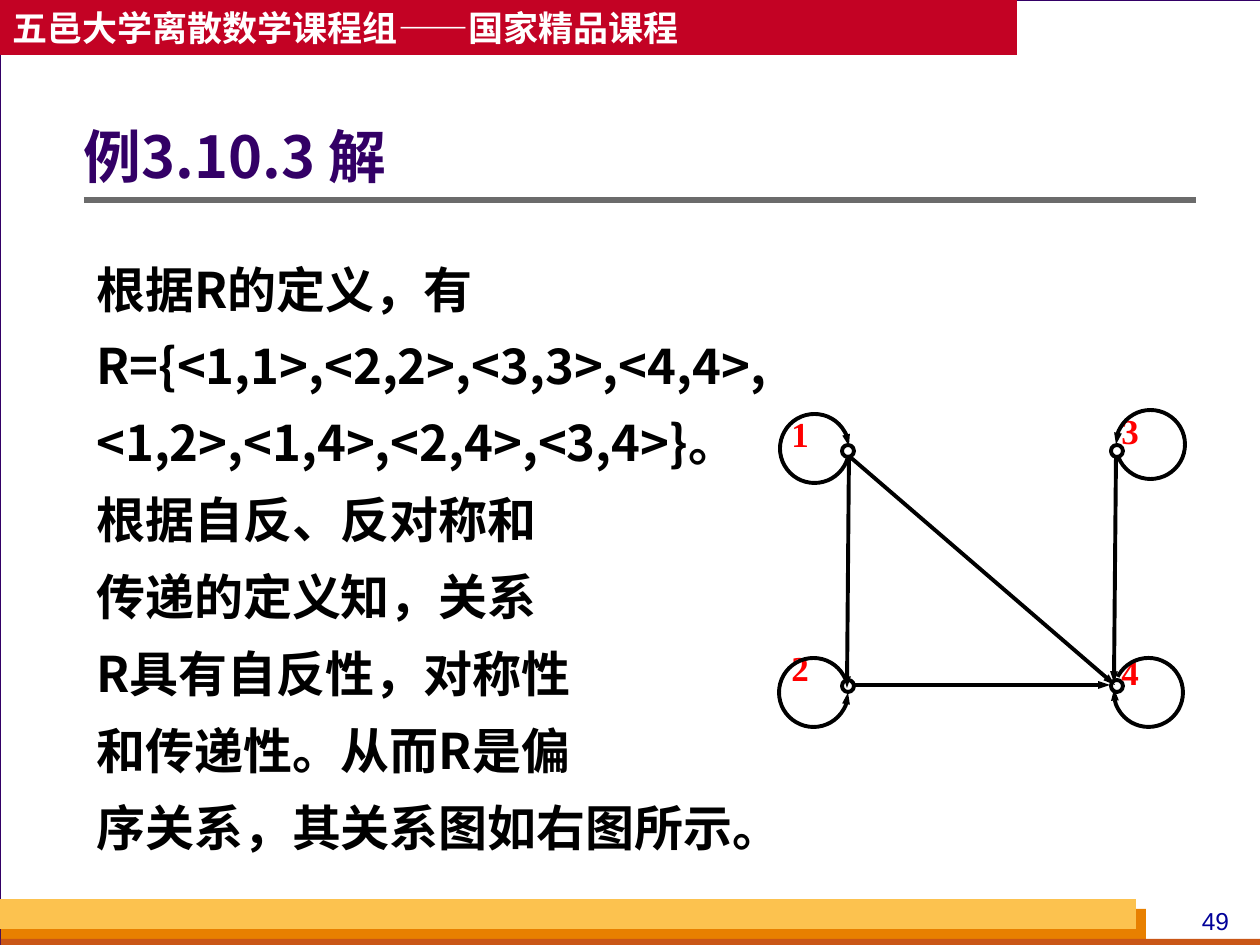
from lxml import etree
from pptx import Presentation
from pptx import util as u
from pptx.dml.color import RGBColor
from pptx.enum import shapes, text
from pptx.oxml.ns import qn

PX = 914400 / 126
CJK = "Noto Sans CJK SC"
SERIF = "Times New Roman"
BLACK, WHITE, RED, PURPLE = "000000", "FFFFFF", "FF0000", "330066"

BODY = [
    "根据R的定义，有",
    "R={<1,1>,<2,2>,<3,3>,<4,4>,",
    "<1,2>,<1,4>,<2,4>,<3,4>}。",
    "根据自反、反对称和",
    "传递的定义知，关系",
    "R具有自反性，对称性",
    "和传递性。从而R是偏",
    "序关系，其关系图如右图所示。",
]

# Vertex label, node corner, label corner
VERTICES = [
    ("1", (842, 445), (779, 406)),
    ("2", (842, 680), (779, 640)),
    ("3", (1111, 445), (1109, 403)),
    ("4", (1111, 680), (1109, 644)),
]
# Loop corner, clockwise start and end angles, end that has the arrow
LOOPS = [
    ((780, 414), 17, 356, "tail"),
    ((779, 658), 0, 336, "head"),
    ((1116, 410), 180, 158, "head"),
    ((1114, 658), 207, 186, "tail"),
]
EDGES = [
    ((849, 456), (1115, 685)),
    ((1116, 456), (1114, 683)),
    ((853, 685), (1110, 685)),
    ((849, 455), (847, 688)),
]


def px(*lengths):
    return [u.Emu(round(n * PX)) for n in lengths]


def color(code):
    return RGBColor.from_string(code)


def add_run(paragraph, words, size, font, code, bold=True):
    run = paragraph.add_run()
    run.text = words
    run.font.size = u.Pt(size)
    run.font.name = font
    run.font.bold = bold
    run.font.color.rgb = color(code)
    east_asian = etree.SubElement(run.font._element, qn("a:ea"))
    east_asian.set("typeface", font)


def set_line(line, code, width):
    line.color.rgb = color(code)
    line.width = u.Pt(width)


def add_preset(slide, kind, box, fill=None, line=None, width=0.75):
    shape = slide.shapes.add_shape(kind, *px(*box))
    shape.shadow.inherit = False
    if fill:
        shape.fill.solid()
        shape.fill.fore_color.rgb = color(fill)
    else:
        shape.fill.background()
    if line:
        set_line(shape.line, line, width)
    else:
        shape.line.fill.background()
    return shape


def add_text(slide, box, lines, size, font, code, bold=True, align=None,
             spacing=None, before=0):
    frame = slide.shapes.add_textbox(*px(*box)).text_frame
    frame.word_wrap = True
    for index, words in enumerate(lines):
        paragraph = frame.add_paragraph() if index else frame.paragraphs[0]
        paragraph.alignment = align
        paragraph.line_spacing = spacing
        paragraph.space_before = u.Pt(before if index else 0)
        add_run(paragraph, words, size, font, code, bold)


def add_arrowhead(line, end):
    arrow = etree.SubElement(line._get_or_add_ln(), qn(f"a:{end}End"))
    for key, value in (("type", "triangle"), ("w", "sm"), ("len", "med")):
        arrow.set(key, value)


def add_straight(slide, start, end, code, width):
    connector = slide.shapes.add_connector(
        shapes.MSO_CONNECTOR.STRAIGHT, *px(*start, *end))
    set_line(connector.line, code, width)
    etree.SubElement(connector._element.spPr, qn("a:effectLst"))
    return connector


def add_loop(slide, corner, start, end, arrow_end):
    loop = add_preset(slide, shapes.MSO_SHAPE.ARC, (*corner, 69, 69),
                      line=BLACK, width=2.25)
    # Angles are stored in 60000ths of a degree, adjustments in 100000ths
    loop.adjustments[0] = start * 0.6
    loop.adjustments[1] = end * 0.6
    add_arrowhead(loop.line, arrow_end)


def add_frame(slide):
    rect = shapes.MSO_SHAPE.RECTANGLE
    add_preset(slide, rect, (0, 0, 1261, 945), WHITE, PURPLE)
    banner = add_preset(slide, rect, (0, 0, 1017, 55), "C30224")
    banner.text_frame.word_wrap = False
    banner.text_frame.vertical_anchor = text.MSO_ANCHOR.MIDDLE
    heading = banner.text_frame.paragraphs[0]
    heading.alignment = text.PP_ALIGN.LEFT
    add_run(heading, "五邑大学离散数学课程组——国家精品课程", 20, CJK, WHITE)
    # Footer bars and page number
    add_preset(slide, rect, (1, 909, 1145, 36), "E88000")
    add_preset(slide, rect, (1, 939, 1260, 10), "C95616")
    add_preset(slide, rect, (0, 899, 1136, 30), "FCC24F")
    add_text(slide, (1176, 900, 79, 43), ["49"], 14, "Arial", "000099",
             bold=False, align=text.PP_ALIGN.CENTER)
    # Rule under the title
    add_straight(slide, (84, 200), (1196, 200), "6B6B6B", 3)


def set_title(slide, words):
    title = slide.shapes.title
    title.left, title.top, title.width, title.height = px(84, 96, 1111, 127)
    frame = title.text_frame
    frame.margin_left = 0
    frame.vertical_anchor = text.MSO_ANCHOR.MIDDLE
    paragraph = frame.paragraphs[0]
    paragraph.alignment = text.PP_ALIGN.LEFT
    paragraph.line_spacing = 0.9
    add_run(paragraph, words, 33, CJK, PURPLE)


def add_graph(slide):
    for label, node, label_corner in VERTICES:
        add_preset(slide, shapes.MSO_SHAPE.OVAL, (*node, 12, 12),
                   line=BLACK, width=2.25)
        add_text(slide, (*label_corner, 73, 96), [label], 20, SERIF, RED,
                 align=text.PP_ALIGN.JUSTIFY)
    for loop in LOOPS:
        add_loop(slide, *loop)
    for start, end in EDGES:
        edge = add_straight(slide, start, end, BLACK, 2.25)
        add_arrowhead(edge.line, "tail")


def main():
    deck = Presentation()
    deck.slide_width, deck.slide_height = px(1260, 945)
    slide = deck.slides.add_slide(deck.slide_layouts[5])
    slide.background.fill.solid()
    slide.background.fill.fore_color.rgb = color("D8DADA")

    add_frame(slide)
    # Keep the title above the white page
    slide.shapes._spTree.append(slide.shapes.title._element)
    set_title(slide, "例3.10.3 解")
    add_text(slide, (84, 247, 1111, 633), BODY, 28, CJK, BLACK,
             spacing=1.1, before=7)
    add_graph(slide)
    deck.save("out.pptx")


if __name__ == "__main__":
    main()
